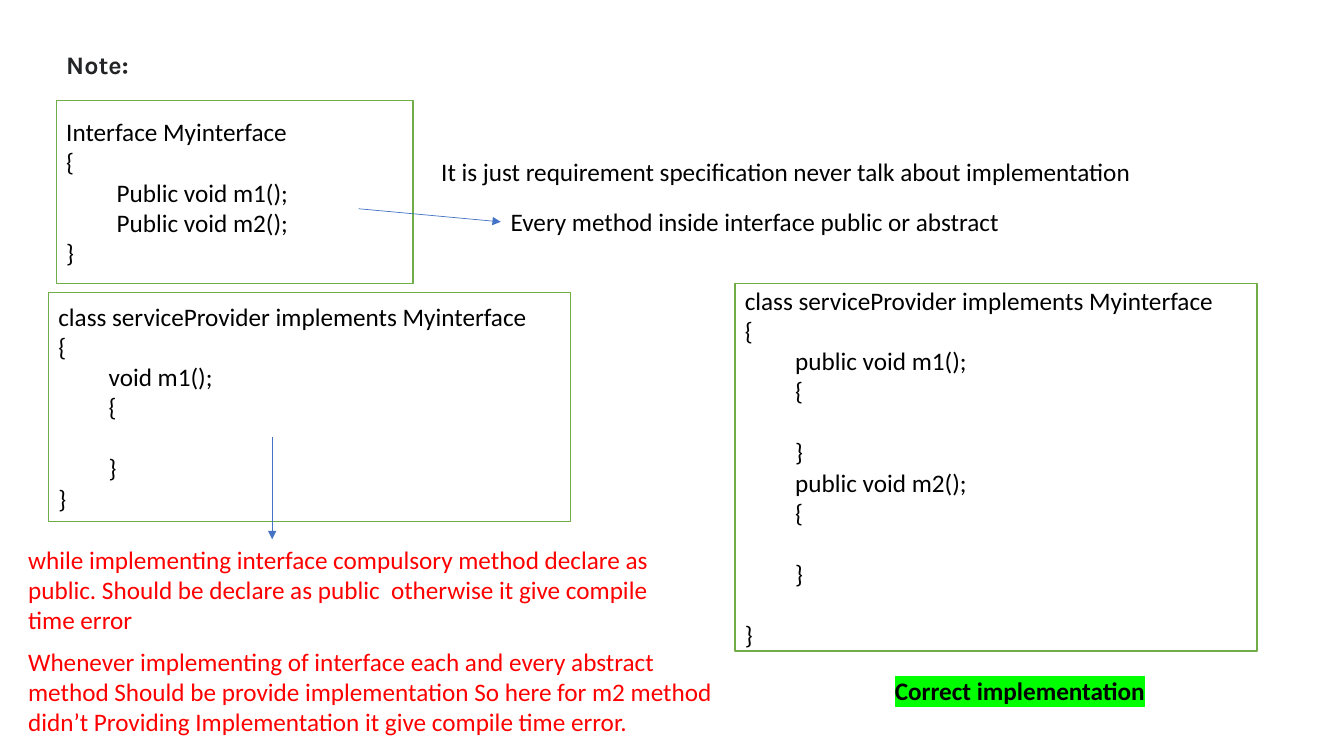
"""Build a slide of notes on implementing an interface."""
from lxml import etree
from pptx import Presentation
from pptx import util as u
from pptx.dml.color import RGBColor
from pptx.enum import shapes, text
from pptx.oxml import ns

COLORS = {
    "text": "000000",
    "title": "222426",
    "error": "FF0000",
    "highlight": "00FF00",
    "box": "FFFFFF",
    "border": "70AD47",
    "arrow": "4472C4",
}
LINE_HEIGHT = 22

INTERFACE = """Interface Myinterface
{
\tPublic void m1();
\tPublic void m2();
}"""
WRONG_CLASS = """class serviceProvider implements Myinterface
{
\tvoid m1();
\t{

\t}
}"""
CORRECT_CLASS = """class serviceProvider implements Myinterface
{
\tpublic void m1();
\t{

\t}
\tpublic void m2();
\t{

\t}

}"""
PUBLIC_RULE = (
    "while implementing interface compulsory method declare as public. "
    "Should be declare as public  otherwise it give compile time error"
)
ALL_METHODS_RULE = (
    "Whenever implementing of interface each and every abstract method "
    "Should be provide implementation So here for m2 method didn’t "
    "Providing Implementation it give compile time error."
)


def rgb(name):
    return RGBColor.from_string(COLORS[name])


def write(tf, content, color="text", font="Calibri", bold=False, highlight=None):
    p, gap = tf.paragraphs[0], 0
    for line in content.split("\n"):
        if not line:
            gap += LINE_HEIGHT
            continue
        if p.runs:
            p = tf.add_paragraph()
        p.alignment = text.PP_ALIGN.LEFT
        p.space_before = u.Pt(gap)
        gap = 0
        r = p.add_run()
        r.text = line
        r.font.size = u.Pt(18)
        r.font.bold = bold
        r.font.color.rgb = rgb(color)
        r.font.name = font
        if highlight:
            mark = etree.Element(ns.qn("a:highlight"))
            etree.SubElement(mark, ns.qn("a:srgbClr"), val=COLORS[highlight])
            r.font.fill._xPr.find(ns.qn("a:latin")).addprevious(mark)


def add_note(s, content, left, top, width, height=1.02, wrap=False, **style):
    tf = s.shapes.add_textbox(u.Cm(left), u.Cm(top), u.Cm(width), u.Cm(height)).text_frame
    tf.word_wrap = wrap
    tf.auto_size = text.MSO_AUTO_SIZE.SHAPE_TO_FIT_TEXT
    write(tf, content, **style)


def add_code_box(s, code, left, top, width, height):
    sp = s.shapes.add_shape(
        shapes.MSO_SHAPE.RECTANGLE, u.Cm(left), u.Cm(top), u.Cm(width), u.Cm(height)
    )
    sp.shadow.inherit = False
    sp.fill.solid()
    sp.fill.fore_color.rgb = rgb("box")
    sp.line.color.rgb = rgb("border")
    sp.line.width = u.Pt(1)
    tf = sp.text_frame
    tf.word_wrap = True
    tf.vertical_anchor = text.MSO_ANCHOR.MIDDLE
    write(tf, code)


def add_arrow(s, x1, y1, x2, y2):
    sp = s.shapes.add_connector(
        shapes.MSO_CONNECTOR.STRAIGHT, u.Cm(x1), u.Cm(y1), u.Cm(x2), u.Cm(y2)
    )
    sp.line.color.rgb = rgb("arrow")
    sp.line.width = u.Pt(0.5)
    etree.SubElement(sp.line._get_or_add_ln(), ns.qn("a:tailEnd"), type="triangle")
    etree.SubElement(sp._element.spPr, ns.qn("a:effectLst"))


def main():
    prs = Presentation()
    prs.slide_width, prs.slide_height = u.Cm(33.87), u.Cm(19.05)
    s = prs.slides.add_slide(prs.slide_layouts[6])

    add_code_box(s, INTERFACE, 1.42, 2.54, 8.99, 4.6)
    add_note(s, "Note:", 1.42, 1.12, 2.16, color="title", font="Karla", bold=True)
    add_code_box(s, WRONG_CLASS, 1.22, 7.37, 13.16, 5.77)
    add_note(
        s,
        "It is just requirement specification never talk about implementation",
        10.87, 3.81, 18.08,
    )
    add_note(s, "Every method inside interface public or abstract", 12.62, 5.08, 13.11)
    add_arrow(s, 9.04, 5.26, 12.62, 5.59)
    add_note(s, PUBLIC_RULE, 0.46, 13.59, 16.13, 2.57, wrap=True, color="error")
    add_arrow(s, 6.86, 11.02, 6.86, 13.59)
    add_note(s, ALL_METHODS_RULE, 0.46, 16.15, 18.06, 2.57, wrap=True, color="error")
    add_code_box(s, CORRECT_CLASS, 18.52, 7.14, 13.16, 9.27)
    add_note(
        s, "Correct implementation", 22.3, 16.89, 6.86, bold=True, highlight="highlight"
    )
    prs.save("out.pptx")


if __name__ == "__main__":
    main()
